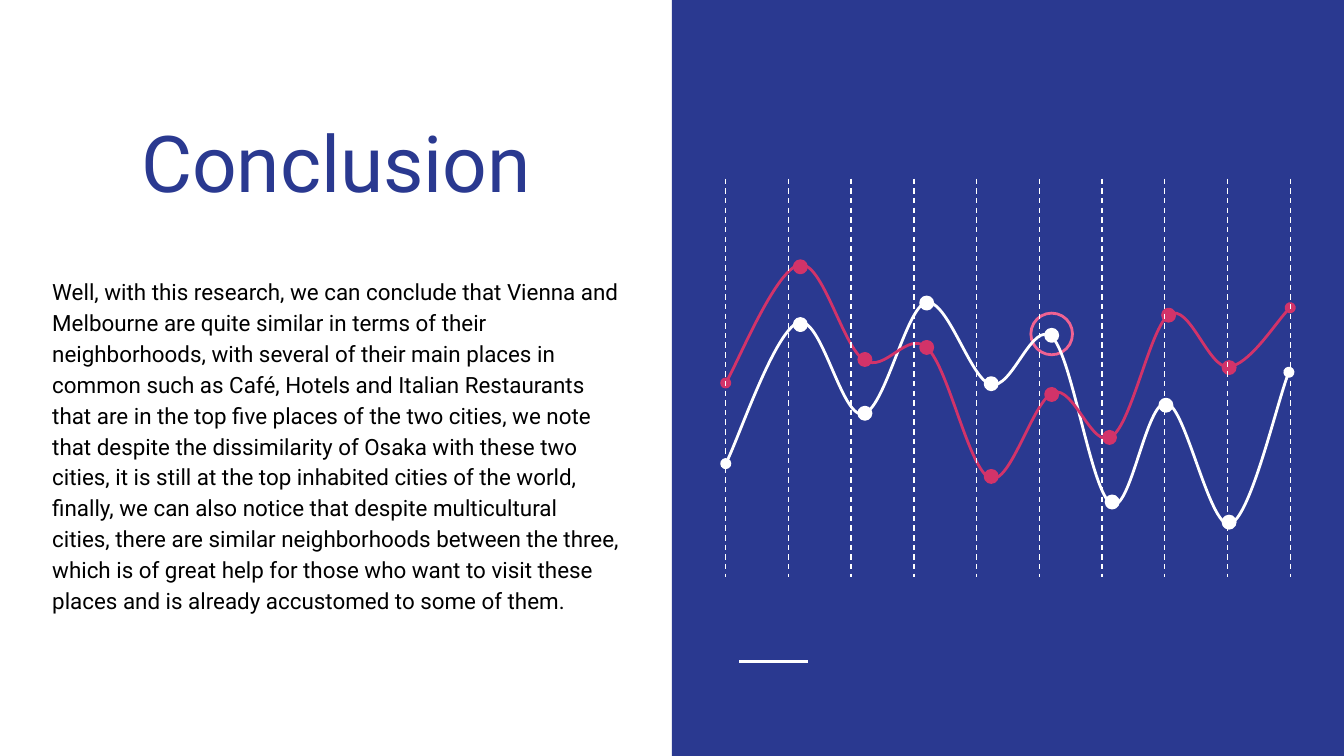
"""Build the conclusion slide with a text half and a two-curve diagram half."""
import pptx
import pptx.dml.color
import pptx.enum.dml
import pptx.enum.shapes
import pptx.enum.text
import pptx.oxml.ns
import pptx.oxml.xmlchemy
import pptx.util

Inches = pptx.util.Inches
Pt = pptx.util.Pt
OxmlElement = pptx.oxml.xmlchemy.OxmlElement
OVAL = pptx.enum.shapes.MSO_SHAPE.OVAL
STRAIGHT = pptx.enum.shapes.MSO_CONNECTOR.STRAIGHT


class Theme:
    font = "Roboto"
    blue = pptx.dml.color.RGBColor.from_string("2A3990")
    white = pptx.dml.color.RGBColor.from_string("FFFFFF")
    black = pptx.dml.color.RGBColor.from_string("000000")
    red = pptx.dml.color.RGBColor.from_string("D23369")
    pink = pptx.dml.color.RGBColor.from_string("F06292")
    title_size = Pt(42)
    body_size = Pt(12)
    line_width = Pt(1.5)
    grid_width = Pt(0.75)


def style_shape(shape, fill, line):
    shape.shadow.inherit = False
    if fill is None:
        shape.fill.background()
    else:
        shape.fill.solid()
        shape.fill.fore_color.rgb = fill
    if line is None:
        shape.line.fill.background()
    else:
        shape.line.color.rgb = line
        shape.line.width = Theme.line_width


def add_line(shapes, x1, y1, x2, y2, width):
    connector = shapes.add_connector(STRAIGHT, Inches(x1), Inches(y1), Inches(x2), Inches(y2))
    connector.line.color.rgb = Theme.white
    connector.line.width = width
    connector._element.spPr.append(OxmlElement("a:effectLst"))
    return connector


body_text = (
    "Well, with this research, we can conclude that Vienna and Melbourne are quite similar "
    "in terms of their neighborhoods, with several of their main places in common such as "
    "Café, Hotels and Italian Restaurants that are in the top five places of the two cities, "
    "we note that despite the dissimilarity of Osaka with these two cities, it is still at "
    "the top inhabited cities of the world, finally, we can also notice that despite "
    "multicultural cities, there are similar neighborhoods between the three, which is of "
    "great help for those who want to visit these places and is already accustomed to some "
    "of them."
)
text_boxes = [
    ("Conclusion", 0.77, 0.88, Theme.title_size, Theme.blue, 1.0,
     pptx.enum.text.PP_ALIGN.CENTER, pptx.enum.text.MSO_ANCHOR.BOTTOM),
    (body_text, 1.94, 3.35, Theme.body_size, Theme.black, 1.15,
     pptx.enum.text.PP_ALIGN.LEFT, pptx.enum.text.MSO_ANCHOR.TOP),
]

white_curve = [
    (5.4, 3.45),
    (5.49, 3.28), (5.77, 2.46), (5.94, 2.4),
    (6.11, 2.34), (6.26, 3.11), (6.42, 3.08),
    (6.58, 3.06), (6.74, 2.29), (6.89, 2.25),
    (7.05, 2.22), (7.22, 2.82), (7.37, 2.86),
    (7.53, 2.91), (7.68, 2.37), (7.83, 2.51),
    (7.98, 2.66), (8.12, 3.67), (8.27, 3.75),
    (8.41, 3.83), (8.53, 2.97), (8.68, 3),
    (8.82, 3.02), (9, 3.93), (9.15, 3.9),
    (9.3, 3.86), (9.51, 2.96), (9.59, 2.77),
]
white_dots = [(5.91, 2.37), (6.39, 3.03), (6.85, 2.21), (7.33, 2.81),
              (7.78, 2.45), (8.23, 3.69), (8.63, 2.97), (9.1, 3.84)]
red_curve = [
    (5.4, 2.85),
    (5.49, 2.7), (5.78, 2), (5.95, 1.97),
    (6.12, 1.94), (6.27, 2.58), (6.43, 2.68),
    (6.59, 2.78), (6.75, 2.45), (6.9, 2.59),
    (7.06, 2.74), (7.21, 3.5), (7.37, 3.56),
    (7.52, 3.61), (7.69, 2.97), (7.84, 2.92),
    (7.99, 2.87), (8.13, 3.35), (8.27, 3.25),
    (8.42, 3.16), (8.56, 2.43), (8.7, 2.34),
    (8.85, 2.25), (8.99, 2.74), (9.14, 2.73),
    (9.29, 2.72), (9.52, 2.36), (9.6, 2.29),
]
red_dots = [(5.91, 1.94), (6.39, 2.63), (6.85, 2.54), (7.33, 3.5),
            (7.78, 2.89), (8.21, 3.21), (8.65, 2.3), (9.1, 2.69)]

presentation = pptx.Presentation()
presentation.slide_width = Inches(10)
presentation.slide_height = presentation.slide_width * 9 // 16
slide = presentation.slides.add_slide(presentation.slide_layouts[6])

panel = slide.shapes.add_shape(
    pptx.enum.shapes.MSO_SHAPE.RECTANGLE, Inches(5), 0, Inches(5), presentation.slide_height)
style_shape(panel, Theme.blue, None)
add_line(slide.shapes, 5.5, 4.92, 6.01, 4.92, Theme.line_width)
ring = slide.shapes.add_shape(OVAL, Inches(7.67), Inches(2.33), Inches(0.31), Inches(0.31))
style_shape(ring, None, Theme.pink)

for text, top, height, size, color, spacing, alignment, anchor in text_boxes:
    text_box = slide.shapes.add_textbox(Inches(0.29), Inches(top), Inches(4.42), Inches(height))
    frame = text_box.text_frame
    frame.word_wrap = True
    frame.vertical_anchor = anchor
    frame.margin_left = frame.margin_right = Inches(0.1)
    frame.margin_top = frame.margin_bottom = Inches(0.1)
    paragraph = frame.paragraphs[0]
    paragraph.alignment = alignment
    paragraph.line_spacing = spacing
    run = paragraph.add_run()
    run.text = text
    run.font.name = Theme.font
    run.font.size = size
    run.font.color.rgb = color

for points, dots, color in [(white_curve, white_dots, Theme.white),
                            (red_curve, red_dots, Theme.red)]:
    series = slide.shapes.add_group_shape()
    start, *controls = [(Inches(x), Inches(y)) for x, y in points]
    builder = series.shapes.build_freeform(*start)
    builder.add_line_segments(controls, close=False)
    curve = builder.convert_to_shape()
    style_shape(curve, None, color)
    segments = curve._element.xpath(".//a:lnTo")
    for index in range(0, len(segments), 3):
        bezier = OxmlElement("a:cubicBezTo")
        segments[index].addprevious(bezier)
        for segment in segments[index:index + 3]:
            bezier.append(segment[0])
            segment.getparent().remove(segment)
    outline = curve._element.spPr.find(pptx.oxml.ns.qn("a:ln"))
    for tag in ("a:headEnd", "a:tailEnd"):
        line_end = OxmlElement(tag)
        line_end.set("type", "oval")
        outline.append(line_end)
    for left, top in dots:
        dot = series.shapes.add_shape(OVAL, Inches(left), Inches(top), Inches(0.09), Inches(0.09))
        style_shape(dot, color, color)

grid = slide.shapes.add_group_shape()
for column in range(10):
    x = 5.4 + column * 4.2 / 9
    grid_line = add_line(grid.shapes, x, 1.33, x, 4.29, Theme.grid_width)
    grid_line.line.dash_style = pptx.enum.dml.MSO_LINE.DASH

presentation.save("out.pptx")
